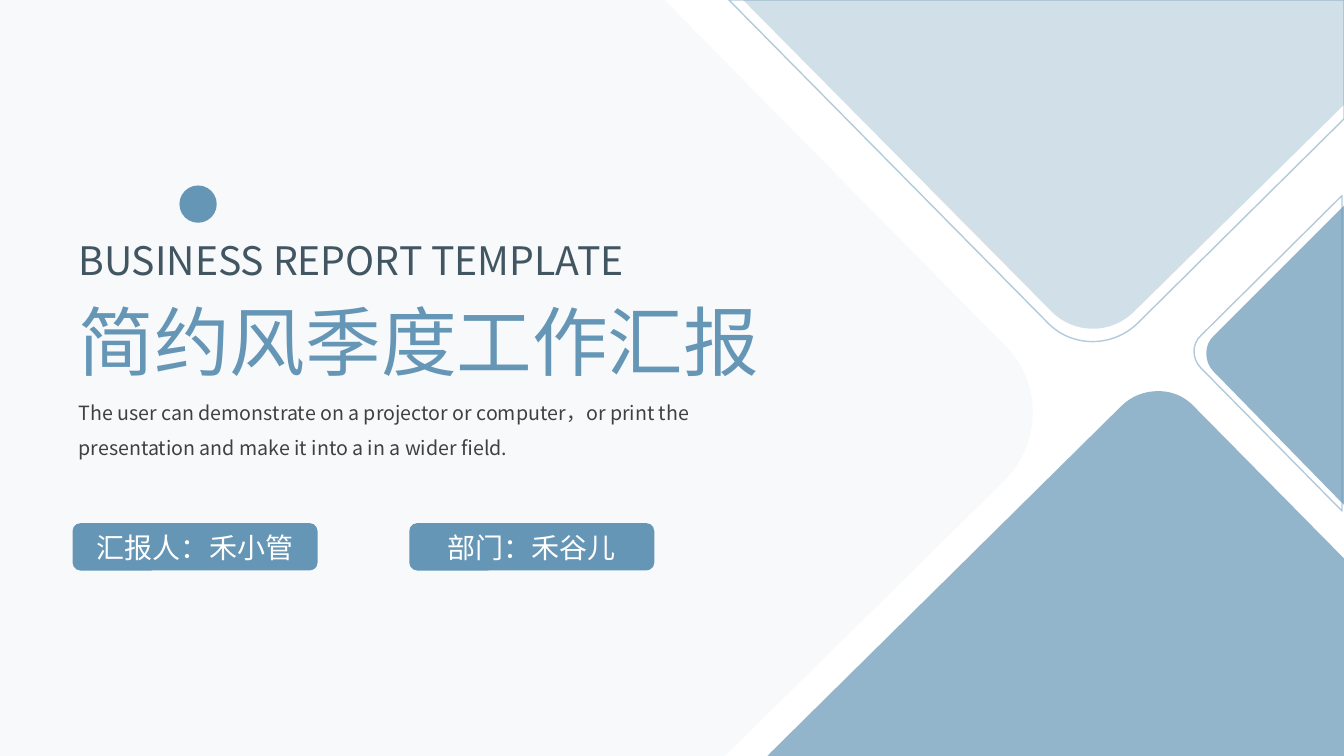
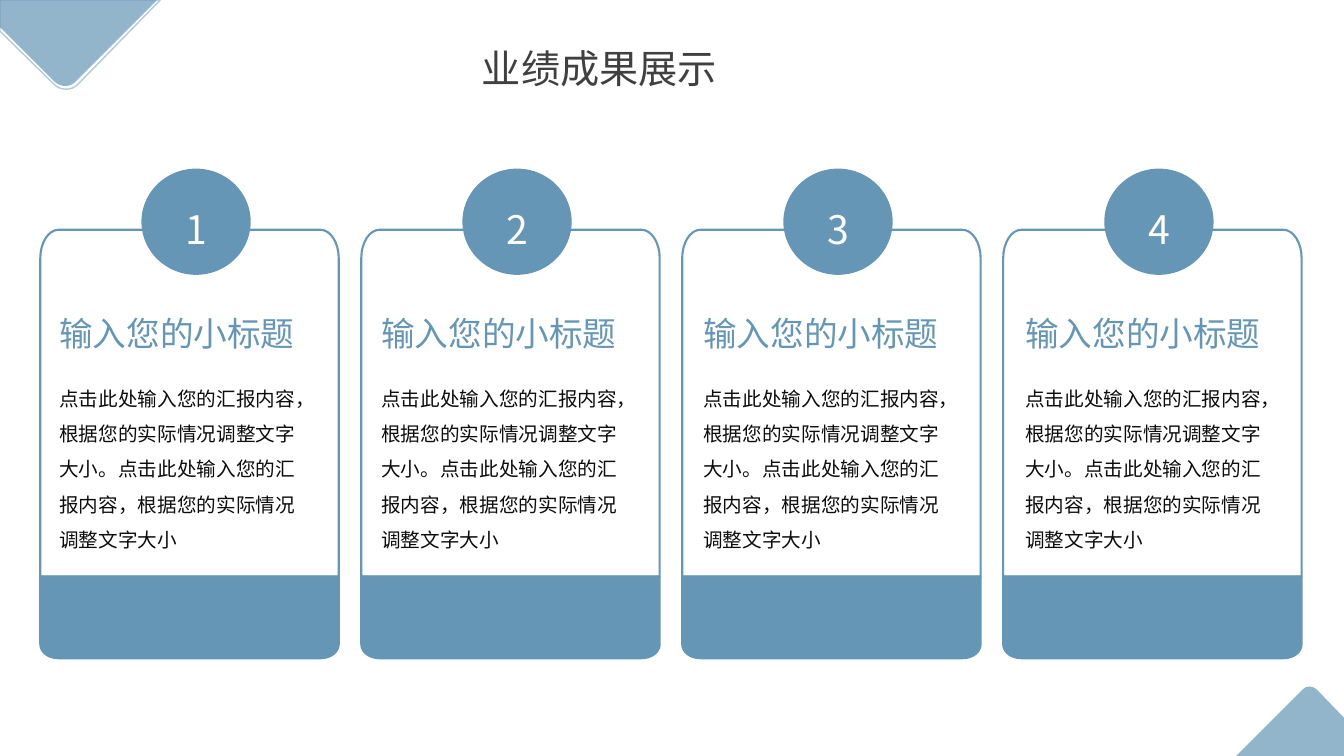
from pptx import Presentation
from pptx import util as u
from pptx.dml import color
from pptx.enum import shapes, text
from pptx.oxml import ns
from lxml import etree

FONT = "Noto Sans CJK SC"
BLUE, GREY, SLATE, INK, WHITE = "6696B6", "404040", "425662", "0D0D0D", "FFFFFF"
WIDE, HIGH = 13.33, 7.5
LEFT, MID = text.PP_ALIGN.LEFT, text.PP_ALIGN.CENTER
HEAD = "输入您的小标题"
BODY = ("点击此处输入您的汇报内容，根据您的实际情况调整文字大小。"
        "点击此处输入您的汇报内容，根据您的实际情况调整文字大小")


def paint(fill, tone, alpha=100):
    fill.solid()
    fill.fore_color.rgb = color.RGBColor.from_string(tone)
    if alpha < 100:
        for node in fill._xPr.iter(ns.qn("a:srgbClr")):
            etree.SubElement(node, ns.qn("a:alpha")).set("val", str(alpha * 1000))


def style(shape, fill=None, line=None, width=1, alpha=100):
    shape.shadow.inherit = False
    if fill:
        paint(shape.fill, fill, alpha)
    else:
        shape.fill.background()
    if line:
        paint(shape.line.fill, line, alpha)
        shape.line.width = u.Pt(width)
    else:
        shape.line.fill.background()


def write(shape, words, size, tone, align=LEFT, space=1.0,
          anchor=text.MSO_ANCHOR.TOP):
    frame = shape.text_frame
    frame.word_wrap = True
    frame.auto_size = text.MSO_AUTO_SIZE.NONE
    frame.vertical_anchor = anchor
    para = frame.paragraphs[0]
    para.text = words
    para.alignment = align
    para.line_spacing = space
    para.space_before = u.Pt(0)
    font = para.font
    font.size = u.Pt(size)
    font.name = FONT
    font.color.rgb = color.RGBColor.from_string(tone)
    etree.SubElement(font._rPr, ns.qn("a:ea")).set("typeface", FONT)


def label(slide, box, words, size, tone, **more):
    shape = slide.shapes.add_textbox(*map(u.Inches, box))
    write(shape, words, size, tone, **more)


def place(holder, box, words, size, tone, **more):
    holder.left, holder.top, holder.width, holder.height = map(u.Inches, box)
    holder.element.getparent().append(holder.element)
    write(holder, words, size, tone, **more)


def block(slide, kind, box, words="", size=20, space=1.0, line=None):
    shape = slide.shapes.add_shape(kind, *map(u.Inches, box))
    style(shape, BLUE, line)
    if words:
        write(shape, words, size, WHITE, MID, space, text.MSO_ANCHOR.MIDDLE)


def curve(lines):
    first = lines[0]
    first.tag = ns.qn("a:cubicBezTo")
    for line in lines[1:]:
        first.append(line[0])
        line.getparent().remove(line)


def bend(shape, moves):
    lines = list(shape.element.iter(ns.qn("a:lnTo")))
    for move in moves:
        count = len(move) // 2
        if count == 3:
            curve(lines[:count])
        lines = lines[count:]


def draw(slide, left, top, moves, **look):
    spots = [(u.Inches(left + x), u.Inches(top + y))
             for move in moves for x, y in zip(move[::2], move[1::2])]
    pen = slide.shapes.build_freeform(*spots[0])
    pen.add_line_segments(spots[1:], close=True)
    shape = pen.convert_to_shape()
    bend(shape, moves[1:])
    style(shape, **look)


def tiles(slide):
    solid = dict(fill=BLUE, alpha=70)
    edge = dict(line=BLUE, alpha=50)
    draw(slide, 7.37, 0, [(0, 0), (5.96, 0), (5.96, 1.04), (3.88, 3.09),
                          (3.65, 3.32, 3.28, 3.32, 3.05, 3.08)], fill=BLUE, alpha=30)
    draw(slide, 7.23, 0, [(0, 0), (6.1, 0), (6.1, 1.18), (4.05, 3.21),
                          (3.8, 3.45, 3.4, 3.45, 3.16, 3.2)], **edge)
    draw(slide, 11.96, 2.04, [(1.37, 0), (1.37, 2.97), (0.07, 1.64),
                              (-0.02, 1.54, -0.02, 1.38, 0.08, 1.29)], **solid)
    draw(slide, 11.84, 1.94, [(1.47, 0), (1.47, 3.13), (0.07, 1.71),
                              (-0.02, 1.62, -0.02, 1.47, 0.07, 1.39)], **edge)
    draw(slide, 0, 0, [(0, 0), (6.59, 0), (9.97, 3.43),
                       (10.34, 3.8, 10.33, 4.39, 9.97, 4.76),
                       (7.19, HIGH), (0, HIGH)], fill=BLUE, alpha=5)
    draw(slide, 7.61, 3.88, [(3.88, 0), (4.01, 0, 4.14, 0.05, 4.24, 0.16),
                             (5.72, 1.66), (5.72, 3.62), (0, 3.62), (0.04, 3.58),
                             (3.51, 0.15), (3.61, 0.05, 3.74, 0, 3.88, 0)], **solid)


def corners(slide):
    draw(slide, 12.26, 6.81, [(0.73, 0), (0.75, 0, 0.78, 0.01, 0.8, 0.03),
                              (1.07, 0.31), (1.07, 0.69), (0, 0.69), (0.66, 0.03),
                              (0.68, 0.01, 0.7, 0, 0.73, 0)], fill=BLUE, alpha=70)
    draw(slide, 0, 0, [(1.56, 0), (0, 0), (0, 0.27), (0.54, 0.81),
                       (0.61, 0.87, 0.7, 0.87, 0.76, 0.8)], fill=BLUE, alpha=70)
    draw(slide, 0, 0, [(1.59, 0), (0, 0), (0, 0.31), (0.54, 0.84),
                       (0.6, 0.9, 0.71, 0.9, 0.77, 0.84)], line=BLUE, alpha=50)


def card(slide, left, top, w, h, mark):
    foot = 0.81
    body = h - foot
    draw(slide, left, top, [(0.18, 0), (w - 0.18, 0),
                            (w - 0.08, 0, w, 0.13, w, 0.28), (w, body), (0, body),
                            (0, 0.28), (0, 0.13, 0.08, 0, 0.18, 0)],
         line=BLUE, width=1.5)
    draw(slide, left, top + body, [(0, 0), (w, 0), (w, 0.67),
                                   (w, 0.75, w - 0.08, foot, w - 0.18, foot),
                                   (0.18, foot), (0.08, foot, 0, 0.75, 0, 0.67)],
         fill=BLUE, line=BLUE, width=1.5)
    block(slide, shapes.MSO_SHAPE.OVAL, (left + 1.01, top - 0.6, 1.07, 1.04),
          str(mark), 28, 1.3, BLUE)


def copy(slide, left, top):
    label(slide, (left, top, 2.87, 0.5), HEAD, 24, BLUE)
    label(slide, (left, top + 0.61, 2.68, 1.83), BODY, 14, INK, space=1.5)


def cover(deck):
    slide = deck.slides.add_slide(deck.slide_layouts[0])
    tiles(slide)
    title, note = slide.placeholders
    place(title, (0.68, 2.88, 7.36, 1.01), "简约风季度工作汇报", 54, BLUE)
    place(note, (0.68, 3.81, 7.36, 0.77),
          "The user can demonstrate on a projector or computer，or print the "
          "presentation and make it into a in a wider field.", 14, GREY, space=1.5)
    label(slide, (0.68, 2.3, 5.8, 0.57), "BUSINESS REPORT TEMPLATE", 28, SLATE)
    pill = shapes.MSO_SHAPE.ROUNDED_RECTANGLE
    for left, words in ((0.72, "汇报人：禾小管"), (4.06, "部门：禾谷儿")):
        block(slide, pill, (left, 5.19, 2.43, 0.47), words)
    block(slide, shapes.MSO_SHAPE.OVAL, (1.78, 1.84, 0.37, 0.37))


def results(deck):
    slide = deck.slides.add_slide(deck.slide_layouts[5])
    count = 4
    step = (9.95 - 0.4) / (count - 1)
    for i in range(count):
        card(slide, 0.4 + i * step, 2.28, 2.96, 4.25, i + 1)
    step = (10.07 - 0.49) / (count - 1)
    for i in range(count):
        copy(slide, 0.49 + i * step, 3.06)
    corners(slide)
    place(slide.shapes.title, (4.68, 0.39, 3.98, 0.57), "业绩成果展示", 28, GREY)


def main():
    deck = Presentation()
    deck.slide_width, deck.slide_height = u.Inches(WIDE), u.Inches(HIGH)
    cover(deck)
    results(deck)
    deck.save("out.pptx")


if __name__ == "__main__":
    main()
